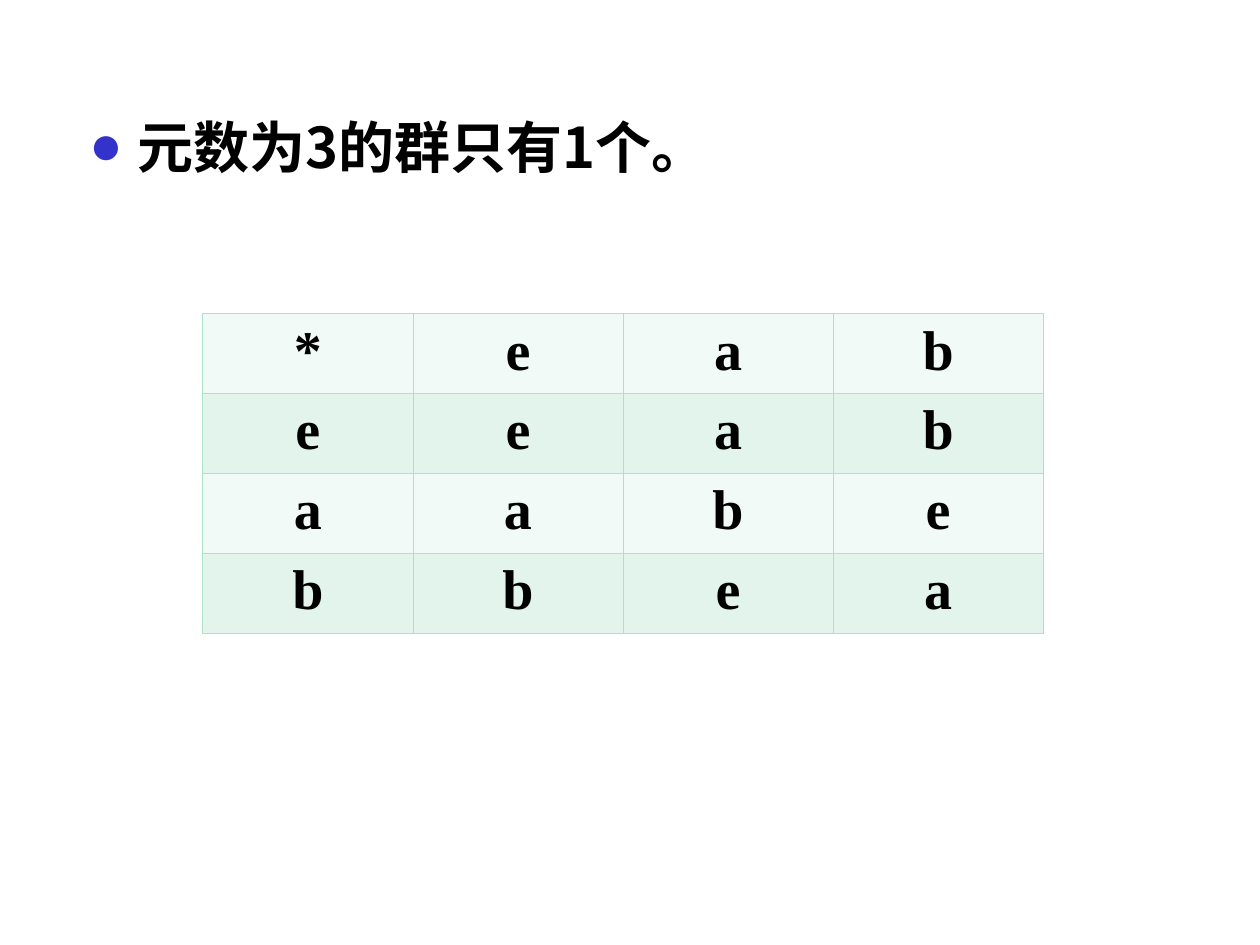
from dataclasses import dataclass

from lxml.etree import SubElement
from pptx import Presentation
from pptx.dml.color import RGBColor as Rgb
from pptx.enum.text import PP_ALIGN as Align
from pptx.oxml.ns import qn
from pptx.util import Inches, Pt


@dataclass(frozen=True)
class Theme:
    ink: str = "000000"
    bullet: str = "3333CC"
    border: str = "AAE2CA"
    bands: tuple[str, str] = ("F1FAF6", "E2F4EC")
    statement_font: str = "Noto Sans CJK SC"
    symbol_font: str = "Times New Roman"
    size: float = 32
    border_width: float = 0.45


@dataclass(frozen=True)
class Box:
    left: float
    top: float
    width: float
    height: float

    def lengths(self) -> tuple:
        return tuple(Inches(v) for v in (self.left, self.top, self.width, self.height))


THEME = Theme()
STATEMENT = "元数为3的群只有1个。"
STATEMENT_BOX = Box(0.61, 0.84, 9.08, 5.78)
CAYLEY_BOX = Box(1.61, 2.49, 6.67, 2.53)
CAYLEY_ROWS = ("*eab", "eeab", "aabe", "bbea")


def style_font(paragraph, typeface: str) -> None:
    font = paragraph.font
    font.name = typeface
    font.size = Pt(THEME.size)
    font.bold = True
    font.color.rgb = Rgb.from_string(THEME.ink)
    defaults = paragraph._p.pPr.find(qn("a:defRPr"))
    SubElement(defaults, qn("a:ea"), typeface=typeface)


def add_bullet(paragraph, indent: float) -> None:
    properties = paragraph._p.get_or_add_pPr()
    properties.set("marL", str(Inches(indent)))
    properties.set("indent", str(-Inches(indent)))
    colour = SubElement(properties, qn("a:buClr"))
    SubElement(colour, qn("a:srgbClr"), val=THEME.bullet)
    SubElement(properties, qn("a:buFont"), typeface=THEME.symbol_font)
    SubElement(properties, qn("a:buChar"), char="●")


def add_statement(slide, text: str, box: Box) -> None:
    frame = slide.shapes.add_textbox(*box.lengths()).text_frame
    frame.word_wrap = True
    paragraph = frame.paragraphs[0]
    paragraph.text = text
    add_bullet(paragraph, 0.38)
    style_font(paragraph, THEME.statement_font)


def add_borders(cell) -> None:
    properties = cell._tc.get_or_add_tcPr()
    for position, side in enumerate(("lnL", "lnR", "lnT", "lnB")):
        line = SubElement(properties, qn(f"a:{side}"), w=str(Pt(THEME.border_width)))
        fill = SubElement(line, qn("a:solidFill"))
        SubElement(fill, qn("a:srgbClr"), val=THEME.border)
        properties.insert(position, line)


def add_cayley_table(slide, rows: tuple[str, ...], box: Box) -> None:
    table = slide.shapes.add_table(len(rows), len(rows[0]), *box.lengths()).table
    for row_index, elements in enumerate(rows):
        for column_index, element in enumerate(elements):
            cell = table.cell(row_index, column_index)
            cell.fill.solid()
            cell.fill.fore_color.rgb = Rgb.from_string(THEME.bands[row_index % 2])
            add_borders(cell)
            paragraph = cell.text_frame.paragraphs[0]
            paragraph.text = element
            paragraph.alignment = Align.CENTER
            style_font(paragraph, THEME.symbol_font)


def main() -> None:
    """Build the slide on the group of order three and its Cayley table."""
    deck = Presentation()
    deck.slide_width, deck.slide_height = Inches(10), Inches(7.5)
    slide = deck.slides.add_slide(deck.slide_layouts[6])
    add_statement(slide, STATEMENT, STATEMENT_BOX)
    add_cayley_table(slide, CAYLEY_ROWS, CAYLEY_BOX)
    deck.save("out.pptx")


if __name__ == "__main__":
    main()
